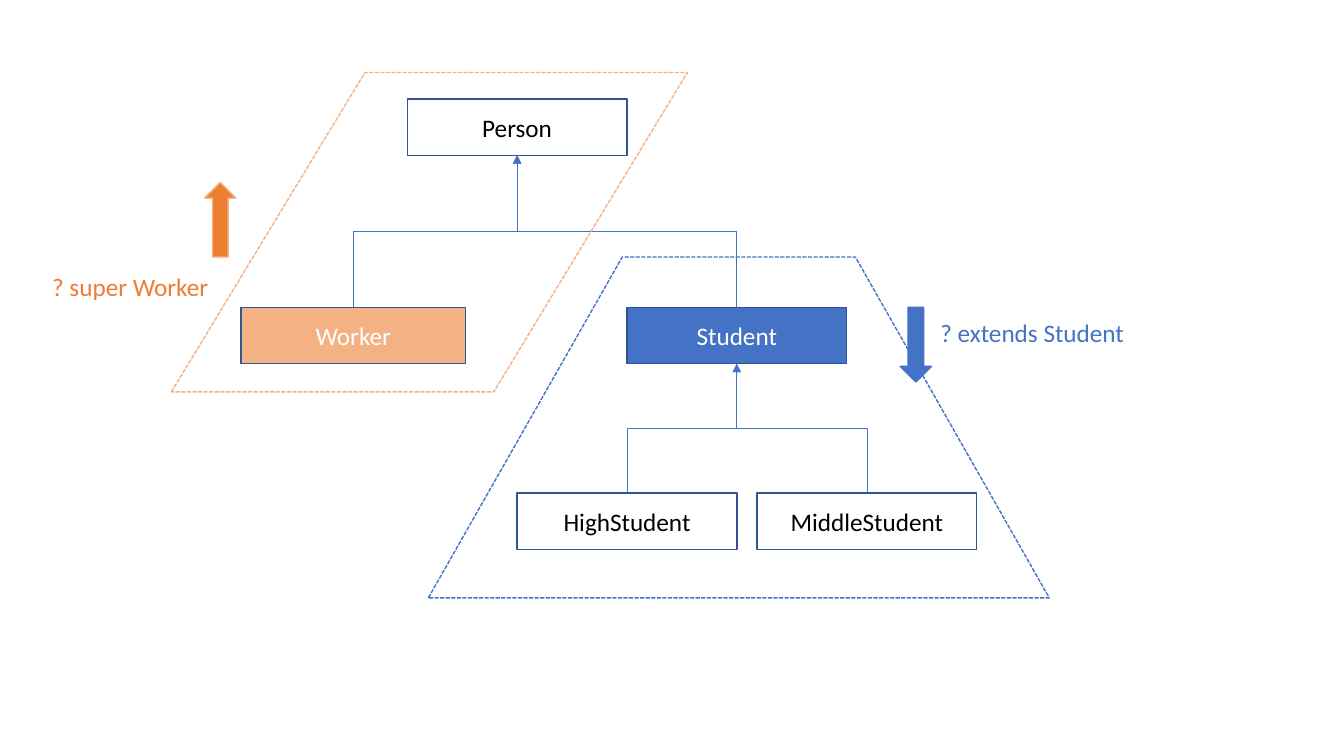
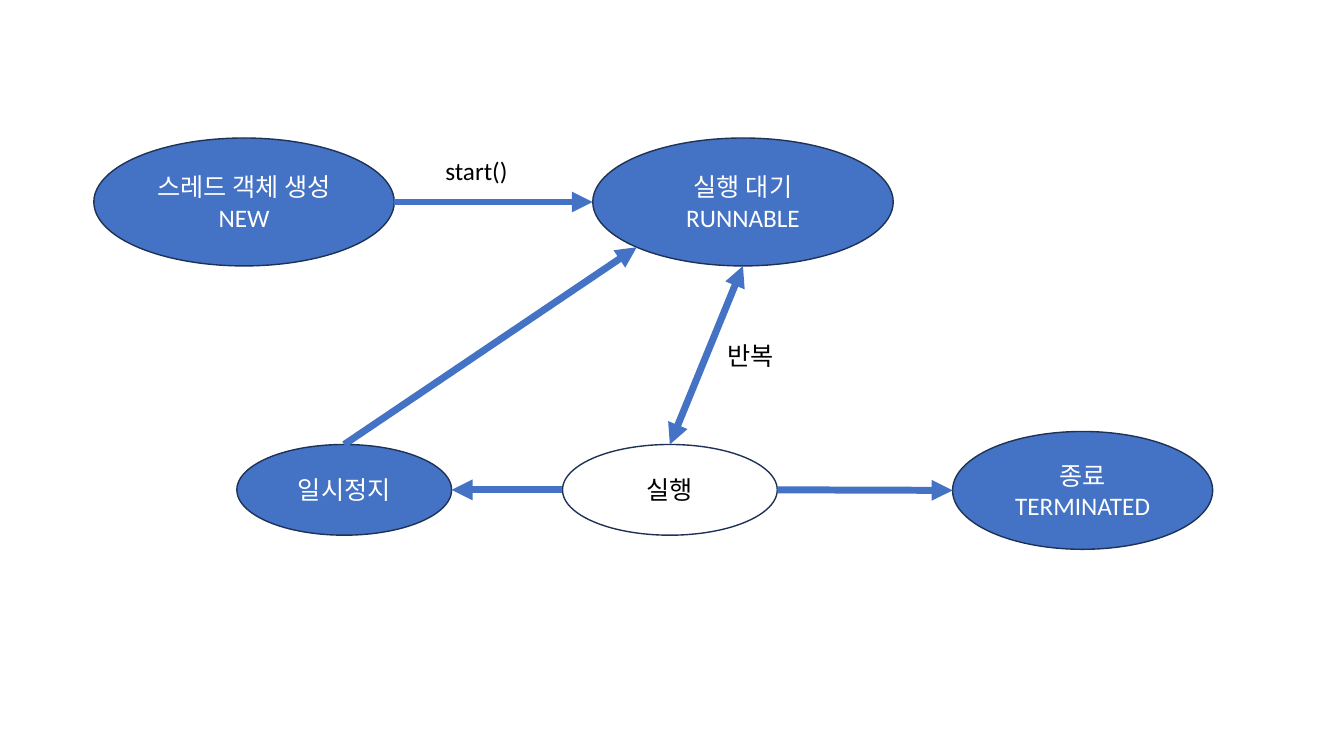
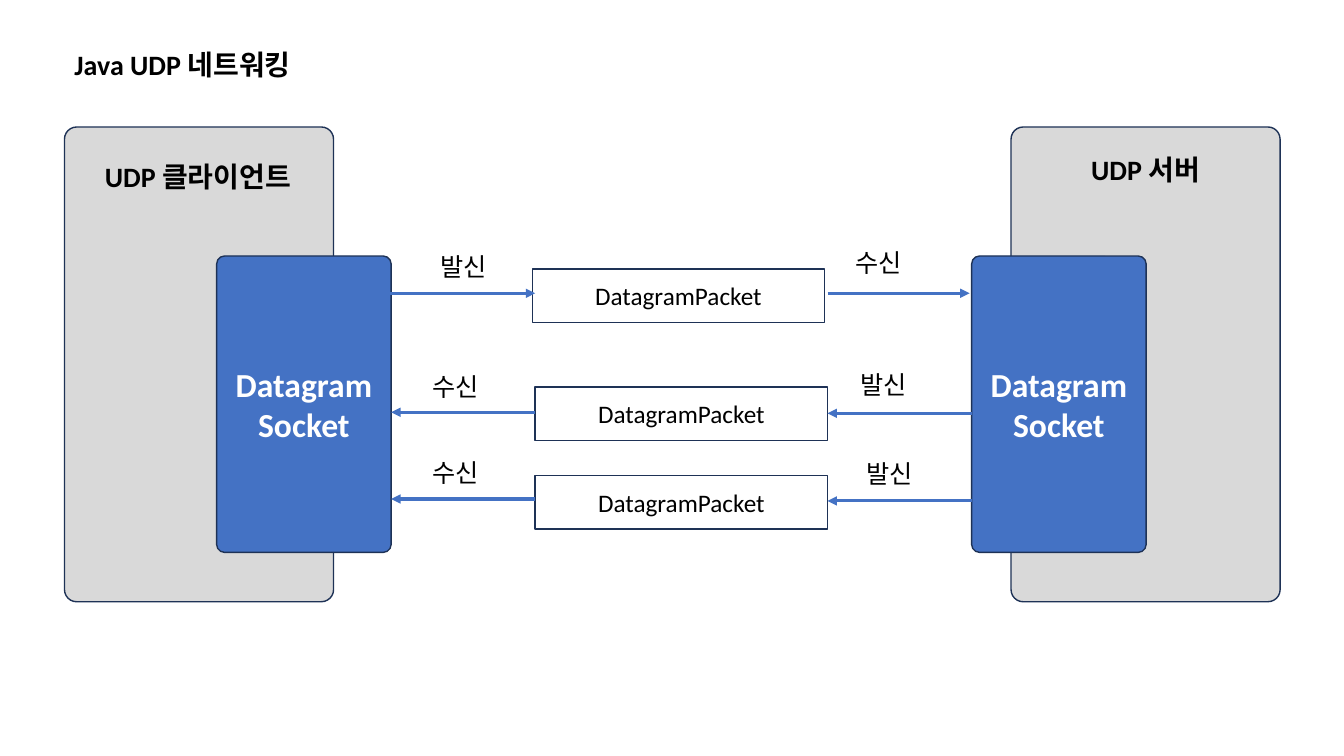
from dataclasses import dataclass
from math import sqrt

from lxml.etree import SubElement as Sub
from pptx import Presentation as Deck
from pptx.dml.color import RGBColor as Rgb
from pptx.enum.dml import MSO_LINE as Dash
from pptx.enum.shapes import MSO_CONNECTOR as Wire
from pptx.enum.shapes import MSO_SHAPE as Form
from pptx.enum.text import MSO_ANCHOR as Anchor
from pptx.enum.text import MSO_AUTO_SIZE as Fit
from pptx.enum.text import PP_ALIGN as Align
from pptx.oxml.ns import qn
from pptx.shapes.connector import Connector as Link
from pptx.slide import Slide
from pptx.text.text import TextFrame as Frame
from pptx.util import Pt

BLACK = Rgb(0x00, 0x00, 0x00)
WHITE = Rgb(0xFF, 0xFF, 0xFF)
BLUE = Rgb(0x44, 0x72, 0xC4)
EDGE = Rgb(0x32, 0x54, 0x91)
NAVY = Rgb(0x1E, 0x32, 0x56)
RUST = Rgb(0xED, 0x7D, 0x31)
PEACH = Rgb(0xF4, 0xB1, 0x83)
GRAY = Rgb(0xD9, 0xD9, 0xD9)
FONT = "Calibri"

Point = tuple[float, float]


@dataclass(frozen=True)
class Box:
    x: float
    y: float
    w: float
    h: float
    text: str = ""
    form: Form = Form.RECTANGLE
    fill: Rgb | None = None
    edge: Rgb = NAVY
    ink: Rgb = BLACK
    size: float = 18
    bold: bool = False
    bend: float | None = None
    turn: float = 0
    dash: bool = False

    @property
    def top(self) -> Point:
        return self.x + self.w / 2, self.y

    @property
    def base(self) -> Point:
        return self.x + self.w / 2, self.y + self.h

    @property
    def left(self) -> Point:
        return self.x, self.y + self.h / 2

    @property
    def right(self) -> Point:
        return self.x + self.w, self.y + self.h / 2

    @property
    def low_left(self) -> Point:
        part = (1 - 1 / sqrt(2)) / 2
        return self.x + self.w * part, self.y + self.h * (1 - part)


@dataclass(frozen=True)
class Label:
    x: float
    y: float
    w: float
    text: str
    h: float = 28.8
    ink: Rgb = BLACK
    size: float = 18
    bold: bool = False
    wrap: bool = False


def write(frame: Frame, item: Box | Label, align: Align) -> None:
    para = frame.paragraphs[0]
    para.text = item.text
    para.alignment = align
    font = para.font
    font.name = FONT
    font.size = Pt(item.size)
    font.bold = item.bold
    font.color.rgb = item.ink


def draw_box(slide: Slide, box: Box) -> None:
    shape = slide.shapes.add_shape(box.form, Pt(box.x), Pt(box.y), Pt(box.w), Pt(box.h))
    shape.shadow.inherit = False
    shape.rotation = box.turn
    if box.bend is not None:
        shape.adjustments[0] = box.bend
    if box.fill is None:
        shape.fill.background()
    else:
        shape.fill.solid()
        shape.fill.fore_color.rgb = box.fill
    shape.line.color.rgb = box.edge
    shape.line.width = Pt(1)
    if box.dash:
        shape.line.dash_style = Dash.SQUARE_DOT
    if box.text:
        shape.text_frame.vertical_anchor = Anchor.MIDDLE
        write(shape.text_frame, box, Align.CENTER)


def draw_label(slide: Slide, label: Label) -> None:
    shape = slide.shapes.add_textbox(Pt(label.x), Pt(label.y), Pt(label.w), Pt(label.h))
    frame = shape.text_frame
    frame.word_wrap = label.wrap
    frame.auto_size = Fit.SHAPE_TO_FIT_TEXT
    write(frame, label, Align.CENTER if label.wrap else Align.LEFT)


def draw_all(slide: Slide, items: list[Box | Label]) -> None:
    for item in items:
        if isinstance(item, Box):
            draw_box(slide, item)
        else:
            draw_label(slide, item)


def draw_link(slide: Slide, start: Point, end: Point, width: float,
              kind: Wire = Wire.STRAIGHT, both: bool = False) -> Link:
    link = slide.shapes.add_connector(kind, *(Pt(v) for v in (*start, *end)))
    link.line.color.rgb = BLUE
    link.line.width = Pt(width)
    props = link.element.spPr
    line = props.find(qn("a:ln"))
    for tip in ("a:headEnd", "a:tailEnd") if both else ("a:tailEnd",):
        Sub(line, qn(tip), type="triangle")
    Sub(props, qn("a:effectLst"))
    return link


def draw_elbow(slide: Slide, child: Box, parent: Box) -> None:
    (x1, y1), (x2, y2) = child.top, parent.base
    mid_x, mid_y = (x1 + x2) / 2, (y1 + y2) / 2
    side = 1 if x2 > x1 else -1
    run, rise = side * abs(y2 - y1) / 2, abs(x2 - x1) / 2
    link = draw_link(slide, (mid_x + run, mid_y + rise), (mid_x - run, mid_y - rise),
                     0.5, Wire.ELBOW)
    turn = 90 if side > 0 else 270
    link.element.spPr.find(qn("a:xfrm")).set("rot", str(turn * 60000))


def class_box(x: float, y: float, text: str, fill: Rgb | None = None,
              w: float = 157) -> Box:
    return Box(x, y, w, 40.3, text, fill=fill, edge=EDGE, ink=WHITE if fill else BLACK)


def state(x: float, y: float, w: float, h: float, text: str,
          fill: Rgb | None = BLUE) -> Box:
    return Box(x, y, w, h, text, Form.OVAL, fill, ink=WHITE if fill else BLACK)


def panel(x: float) -> Box:
    return Box(x, 90.7, 192.2, 339.1, form=Form.ROUNDED_RECTANGLE, fill=GRAY, bend=0.045)


def socket(x: float) -> Box:
    return Box(x, 182.9, 124.6, 211.7, "Datagram\nSocket", Form.ROUNDED_RECTANGLE,
               BLUE, ink=WHITE, size=24, bold=True, bend=0.045)


def packet(x: float, y: float) -> Box:
    return Box(x, y, 208.8, 38.2, "DatagramPacket")


def heading(x: float, y: float, w: float, text: str, wrap: bool = True) -> Label:
    return Label(x, y, w, text, 31.7, size=20, bold=True, wrap=wrap)


def build_types(slide: Slide) -> None:
    person = class_box(290.9, 70.6, "Person")
    worker = class_box(172.1, 219.6, "Worker", PEACH, 160.6)
    student = class_box(447.8, 219.6, "Student", BLUE)
    high = class_box(369.4, 352.1, "HighStudent")
    middle = class_box(540.7, 352.1, "MiddleStudent")
    draw_all(slide, [person, worker, student, high, middle])
    for child, parent in ((student, person), (worker, person),
                          (middle, student), (high, student)):
        draw_elbow(slide, child, parent)
    draw_all(slide, [
        Box(122.4, 51.8, 368.6, 228.2, form=Form.PARALLELOGRAM, edge=PEACH,
            bend=0.606, dash=True),
        Label(30.2, 190.1, 127.4, "? super Worker", ink=RUST),
        Box(146.2, 130.3, 22.3, 53.3, form=Form.DOWN_ARROW, fill=RUST, edge=PEACH,
            turn=180),
        Box(306, 183.6, 443.5, 243.4, form=Form.TRAPEZOID, edge=BLUE,
            bend=0.569, dash=True),
        Label(664.6, 223.2, 147.6, "? extends Student", ink=BLUE),
        Box(643, 219.6, 22.3, 53.3, form=Form.DOWN_ARROW, fill=BLUE, edge=BLUE),
    ])


def build_states(slide: Slide) -> None:
    fresh = state(67, 98.6, 214.6, 91.4, "스레드 객체 생성\nNEW")
    ready = state(423.4, 98.6, 214.6, 91.4, "실행 대기\nRUNNABLE")
    pause = state(169.2, 317.5, 153.4, 64.8, "일시정지")
    active = state(401.8, 317.5, 153.4, 64.8, "실행", None)
    done = state(680.4, 308.2, 185.8, 84.2, "종료\nTERMINATED")
    draw_all(slide, [fresh, ready, pause, active, done])
    for start, end in ((fresh.right, ready.left), (pause.top, ready.low_left),
                       (active.left, pause.right), (active.right, done.left)):
        draw_link(slide, start, end, 5)
    draw_link(slide, ready.base, active.top, 5, both=True)
    draw_all(slide, [Label(311, 107.3, 59.8, "start()"),
                     Label(512.6, 239.8, 51.1, "반복")])


def build_network(slide: Slide) -> None:
    draw_all(slide, [
        panel(722.2), panel(46.1),
        heading(56.2, 110.2, 170.6, "UDP 클라이언트"),
        heading(733, 105.1, 170.6, "UDP 서버"),
        heading(46.1, 30.2, 176.4, "Java UDP 네트워킹", False),
        socket(154.8), socket(694.1),
        packet(380.2, 192.2), packet(382.3, 276.5), packet(382.3, 339.8),
    ])
    for start, end, y in ((260.6, 382.3, 209.5), (591.1, 692.6, 209.5),
                          (694.1, 591.1, 295.2), (382.3, 279.4, 294.5),
                          (694.1, 591.1, 357.8), (382.3, 279.4, 356.4)):
        draw_link(slide, (start, y), (end, y), 2.25)
    for text, spots in (
        ("발신", ((307.4, 175.7), (607.7, 260.6), (612, 324))),
        ("수신", ((604.1, 172.8), (301.7, 261.4), (301.7, 323.3))),
    ):
        for x, y in spots:
            draw_label(slide, Label(x, y, 51.1, text))


def main() -> None:
    deck = Deck()
    deck.slide_width, deck.slide_height = Pt(960), Pt(540)
    for build in (build_types, build_states, build_network):
        build(deck.slides.add_slide(deck.slide_layouts[6]))
    deck.save("out.pptx")


main()
